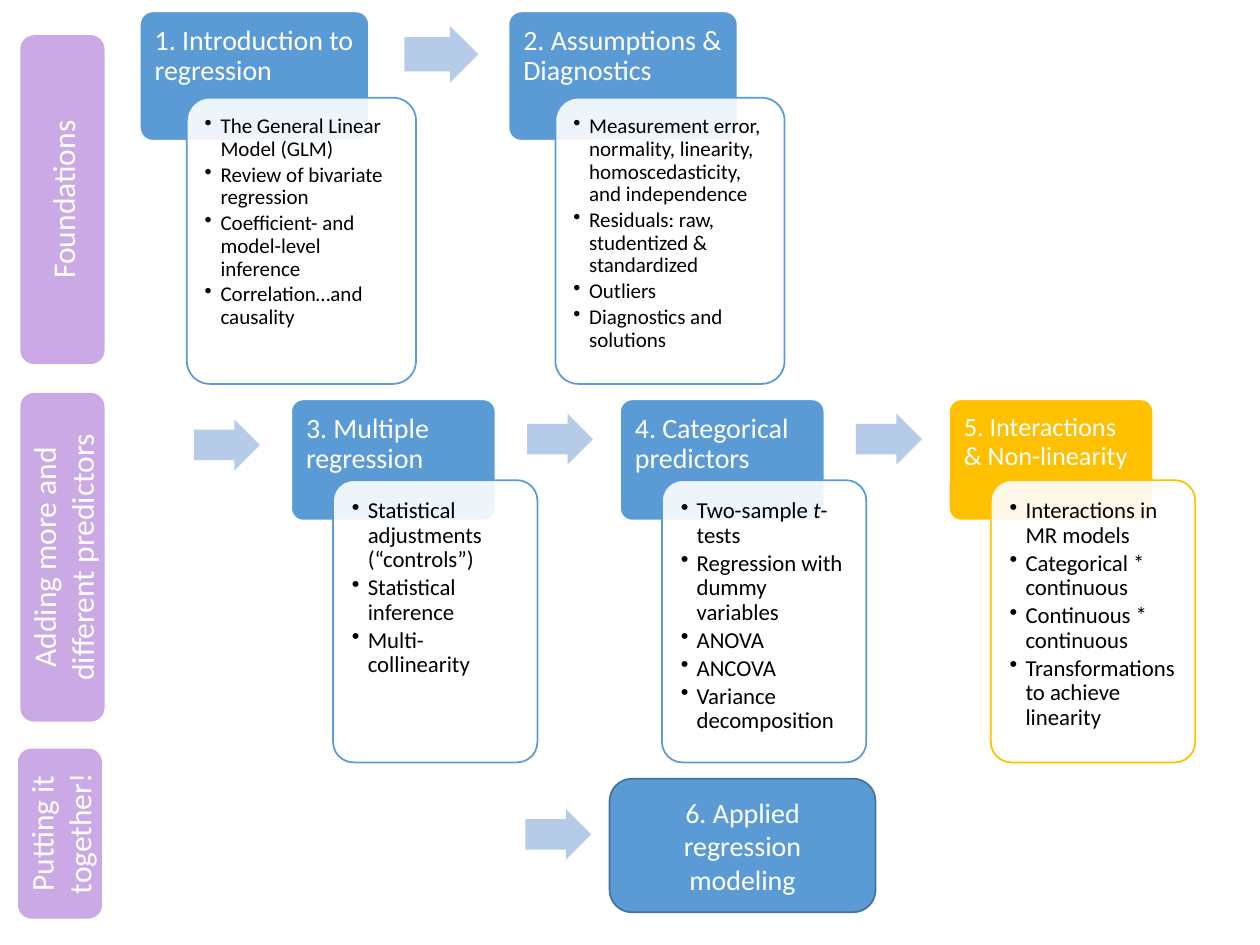
from lxml.etree import SubElement
from pptx import Presentation
from pptx.dml.color import RGBColor
from pptx.enum.shapes import MSO_SHAPE
from pptx.enum.text import MSO_ANCHOR, PP_ALIGN
from pptx.oxml.ns import qn
from pptx.util import Cm, Pt

BLUE, GOLD, WHITE, BLACK = "5B9BD5", "FFC000", "FFFFFF", "000000"
DARK_BLUE, PALE_BLUE, LILAC = "43739E", "B5CBE7", "CBA9E5"


def color(hex_string):
    return RGBColor.from_string(hex_string)


def set_margins(frame, left, top, right, bottom):
    margins = {"margin_left": left, "margin_top": top,
               "margin_right": right, "margin_bottom": bottom}
    for name, value in margins.items():
        setattr(frame, name, Cm(value))


class CourseMap:
    font = "Calibri"
    line_width = Pt(1)

    def __init__(self, slide):
        self.slide = slide

    def shape(self, kind, box, fill, line=None, adjustments=(), opacity=None):
        shape = self.slide.shapes.add_shape(kind, *map(Cm, box))
        shape.shadow.inherit = False
        shape.fill.solid()
        shape.fill.fore_color.rgb = color(fill)
        if opacity:
            fill_color = shape._element.spPr.find(qn("a:solidFill"))[0]
            SubElement(fill_color, qn("a:alpha"), val=str(opacity * 1000))
        if line:
            shape.line.color.rgb = color(line)
            shape.line.width = self.line_width
        else:
            shape.line.fill.background()
        for index, value in enumerate(adjustments):
            shape.adjustments[index] = value
        return shape

    def add_text(self, paragraph, text, size, font_color, **formats):
        """Fill a paragraph; words between underscores become italic."""
        for name, value in formats.items():
            setattr(paragraph, name, value)
        for index, part in enumerate(text.split("_")):
            run = paragraph.add_run()
            run.text = part
            font = {"name": self.font, "size": Pt(size), "italic": index % 2 == 1}
            for name, value in font.items():
                setattr(run.font, name, value)
            run.font.color.rgb = color(font_color)

    def text_frame(self, box, margins):
        frame = self.slide.shapes.add_textbox(*map(Cm, box)).text_frame
        frame.word_wrap = True
        set_margins(frame, *margins)
        return frame

    def heading(self, box, text, size):
        frame = self.text_frame(box, (0.3, 0.3, 0.3, 0.18))
        self.add_text(frame.paragraphs[0], text, size, WHITE, line_spacing=0.9)

    def bullets(self, box, items, size, margin):
        frame = self.text_frame(box, [margin] * 4)
        for index, item in enumerate(items):
            paragraph = frame.add_paragraph() if index else frame.paragraphs[0]
            self.add_text(paragraph, item, size, BLACK, level=1,
                          line_spacing=0.9, space_after=Pt(round(size * 0.15, 1)))
            properties = paragraph._p.get_or_add_pPr()
            properties.set("marL", str(Cm(0.32)))
            properties.set("indent", str(Cm(-0.32)))
            SubElement(properties, qn("a:buChar"), char="•")

    def arrow(self, left, top, width):
        self.shape(MSO_SHAPE.RIGHT_ARROW, (left, top, width, width * 0.77),
                   PALE_BLUE, adjustments=(0.6, 0.5))

    def card(self, left, top, row, title, items, accent=BLUE, title_size=16):
        width, title_height = row["width"], row["title_height"]
        self.shape(MSO_SHAPE.ROUNDED_RECTANGLE,
                   (left, top, width, title_height * 1.5), accent, WHITE, (0.1,))
        self.heading((left, top, width, title_height), title, title_size)
        body_left, body_top = left + width * 0.205, top + title_height
        height, inset = row["body_height"], 0.13
        self.shape(MSO_SHAPE.ROUNDED_RECTANGLE, (body_left, body_top, width, height),
                   WHITE, accent, (0.1,), opacity=90)
        self.bullets((body_left + inset, body_top + inset,
                      width - 2 * inset, height - 2 * inset),
                     items, row["text_size"], row["margin"])

    def card_row(self, row):
        """Place cards at an equal step, with an arrow between neighbours."""
        width, top = row["width"], row["top"]
        for index, card in enumerate(row["cards"]):
            left = row["left"] + index * row["step"]
            if index:
                self.arrow(left - row["step"] + width * 1.154, top + 0.29,
                           width * 0.323)
            self.card(left, top, row, *card)

    def label(self, box, text, size, fill, line=None, vertical=False):
        shape = self.shape(MSO_SHAPE.ROUNDED_RECTANGLE, box, fill, line)
        frame = shape.text_frame
        frame.word_wrap = True
        frame.vertical_anchor = MSO_ANCHOR.MIDDLE
        if vertical:
            frame._txBody.bodyPr.set("vert", "vert270")
        self.add_text(frame.paragraphs[0], text, size, WHITE,
                      alignment=PP_ALIGN.CENTER)


FOUNDATIONS = {
    "left": 2.82, "top": 0.23, "step": 7.43, "width": 4.62, "title_height": 1.74,
    "body_height": 5.77, "text_size": 12, "margin": 0.23,
    "cards": [
        ("1. Introduction to regression",
         ["The General Linear Model (GLM)", "Review of bivariate regression",
          "Coefficient- and model-level inference", "Correlation…and causality"]),
        ("2. Assumptions & Diagnostics",
         ["Measurement error, normality, linearity, homoscedasticity, and independence",
          "Residuals: raw, studentized & standardized", "Outliers",
          "Diagnostics and solutions"]),
    ],
}
PREDICTORS = {
    "left": 5.87, "top": 8.05, "step": 6.63, "width": 4.12, "title_height": 1.63,
    "body_height": 5.69, "text_size": 13, "margin": 0.25,
    "cards": [
        ("3. Multiple regression",
         ["Statistical adjustments (“controls”)", "Statistical inference",
          "Multi-collinearity"]),
        ("4. Categorical predictors",
         ["Two-sample _t_-tests", "Regression with dummy variables", "ANOVA",
          "ANCOVA", "Variance decomposition"]),
        ("5. Interactions & Non-linearity",
         ["Interactions in MR models", "Categorical * continuous",
          "Continuous * continuous", "Transformations to achieve linearity"],
         GOLD, 15),
    ],
}
STAGES = [
    ((0.41, 0.71, 1.7, 6.63), "Foundations"),
    ((0.41, 7.92, 1.7, 6.63), "Adding more and different predictors"),
    ((0.36, 15.09, 1.7, 3.43), "Putting it together!"),
]


def main():
    presentation = Presentation()
    presentation.slide_width, presentation.slide_height = Cm(25.4), Cm(19.05)
    blank_layout = presentation.slide_layouts[6]
    course = CourseMap(presentation.slides.add_slide(blank_layout))

    for row in (FOUNDATIONS, PREDICTORS):
        course.card_row(row)
    course.label((12.29, 15.7, 5.36, 2.69), "6. Applied regression modeling",
                 16, BLUE, DARK_BLUE)
    for left, top in ((3.91, 8.46), (10.59, 16.31)):
        course.arrow(left, top, 1.33)
    for box, text in STAGES:
        course.label(box, text, 18, LILAC, vertical=True)

    presentation.save("out.pptx")


if __name__ == "__main__":
    main()
